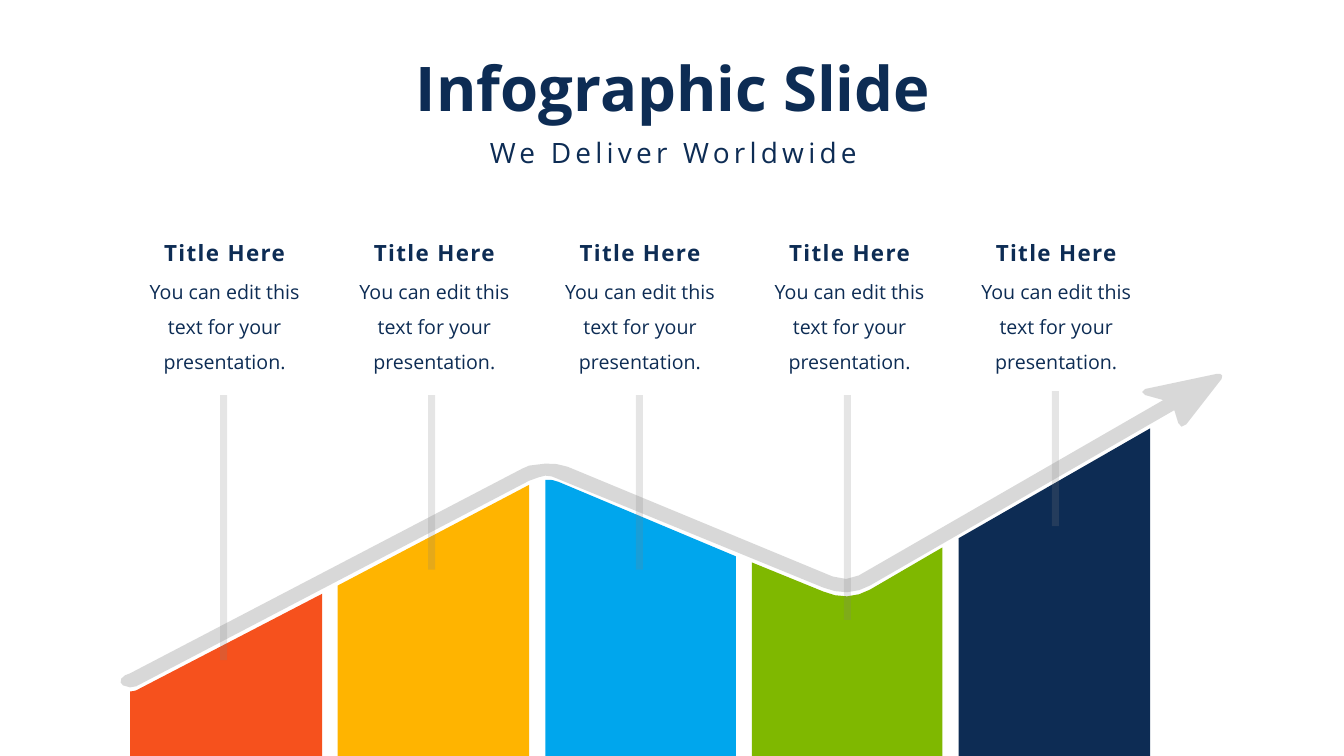
from lxml import etree
from pptx import Presentation
from pptx import util as u
from pptx.dml.color import RGBColor
from pptx.enum import text
from pptx.oxml import ns

HUES = {"red": "F6511D", "gold": "FFB400", "blue": "00A6ED",
        "green": "7FB800", "navy": "0D2C54", "gray": "808080"}
BASE = 540

deck = Presentation()
deck.slide_width, deck.slide_height = u.Pt(960), u.Pt(BASE)
slide = deck.slides.add_slide(deck.slide_layouts[5])


def outline(points, hue, alpha=None):
    """Draw a closed, filled outline through points."""
    spots = [(u.Pt(x), u.Pt(y)) for x, y in points]
    pen = slide.shapes.build_freeform(*spots[0])
    pen.add_line_segments(spots[1:], close=True)
    form = pen.convert_to_shape()
    form.shadow.inherit = False
    form.line.fill.background()
    form.fill.solid()
    form.fill.fore_color.rgb = RGBColor.from_string(HUES[hue])
    if alpha:
        tint = form.fill._xPr.find(".//" + ns.qn("a:srgbClr"))
        etree.SubElement(tint, ns.qn("a:alpha")).set("val", str(alpha * 1000))


def label(box, words, place, size, bold=False, space=0, lead=1.0):
    """Place and format a centred text box."""
    box.left, box.top, box.width, box.height = map(u.Pt, place)
    frame = box.text_frame
    frame.text = words
    frame.word_wrap = True
    frame.auto_size = text.MSO_AUTO_SIZE.SHAPE_TO_FIT_TEXT
    frame.vertical_anchor = text.MSO_ANCHOR.TOP
    para = frame.paragraphs[0]
    para.alignment = text.PP_ALIGN.CENTER
    para.line_spacing = lead
    run = para.runs[0]
    run.font.name, run.font.size, run.font.bold = "Open Sans", u.Pt(size), bold
    run.font.color.rgb = RGBColor.from_string(HUES["navy"])
    if space:
        run._r.get_or_add_rPr().set("spc", str(space * 100))


# Bars: the top edge of each, closed down to the foot of the slide
bars = [
    ("red", [(92.9, 493.9), (95, 493.7), (97.2, 493.2), (230.2, 424.1)]),
    ("gold", [(241.2, 418.3), (378, 346.3)]),
    ("blue", [(389.5, 342.7), (394.5, 342.9), (398.9, 344.2), (525.6, 397.4)]),
    ("green", [(537.1, 401.8), (588.2, 422.6), (596.4, 425.2), (605, 426),
               (613.7, 424.5), (621.4, 421.2), (673.2, 391)]),
    ("navy", [(684.7, 384.5), (821.5, 306)]),
]
for hue, top in bars:
    outline(top + [(top[-1][0], BASE), (top[0][0], BASE)], hue)

# Stems from the captions to the bars
stems = [(282.2, 471.6), (282.2, 406.8), (282.2, 406.8), (282.2, 442.8), (279.4, 375.8)]
for i, (top, foot) in enumerate(stems):
    x = u.Pt(159.8 + 148.5 * i)
    stem = slide.shapes.add_connector(1, x, u.Pt(foot), x, u.Pt(top))
    stem.line.width = u.Pt(5)
    stem.line.color.rgb = RGBColor.from_string(HUES["gray"])
    tint = stem.line.fill._xPr.find(".//" + ns.qn("a:srgbClr"))
    etree.SubElement(tint, ns.qn("a:alpha")).set("val", "20000")
    etree.SubElement(stem._element.spPr, ns.qn("a:effectLst"))

# Trend arrow: upper edge, rounded tail, lower edge, head
trend = [
    (869, 267.1), (817.9, 277.9), (815.8, 280), (817.9, 282.2), (830.9, 285.8),
    (613.4, 411.1), (604.4, 413.6), (594.7, 411.8),
    (405.4, 333.4), (397.5, 331.5), (389.5, 331.2), (378, 332.6), (373, 334.8),
    (92.9, 481), (89.3, 482.4), (86.6, 484.8), (86.2, 487.5), (87.8, 489.6),
    (92.9, 491), (97.2, 490.3),
    (378, 343.4), (385, 340.9), (389.5, 339.8), (394, 340.3), (398.2, 342),
    (588.2, 419.8), (596.4, 422.3), (605, 423.1), (613.7, 421.6), (621.4, 418.3),
    (838.8, 293), (841.7, 302.4), (844, 304.8), (847.4, 303.1),
    (872.6, 270.7), (873, 268.3), (871.5, 267),
]
outline(trend, "gray", 30)

# Heading
label(slide.shapes.title, "Infographic Slide", (272.9, 32.4, 416.2, 60.5), 44, bold=True)
label(slide.shapes.add_textbox(0, 0, 0, 0), "We Deliver Worldwide",
      (272.9, 93.6, 416.2, 31.7), 20, space=3)

# Captions
for left in (95, 244.8, 391.7, 541.4, 689):
    label(slide.shapes.add_textbox(0, 0, 0, 0), "Title Here",
          (left, 167, 131, 26.6), 16, bold=True, space=1)
    label(slide.shapes.add_textbox(0, 0, 0, 0),
          "You can edit this text for your presentation.",
          (left, 187.9, 131, 80.6), 14, lead=1.5)

deck.save("out.pptx")
